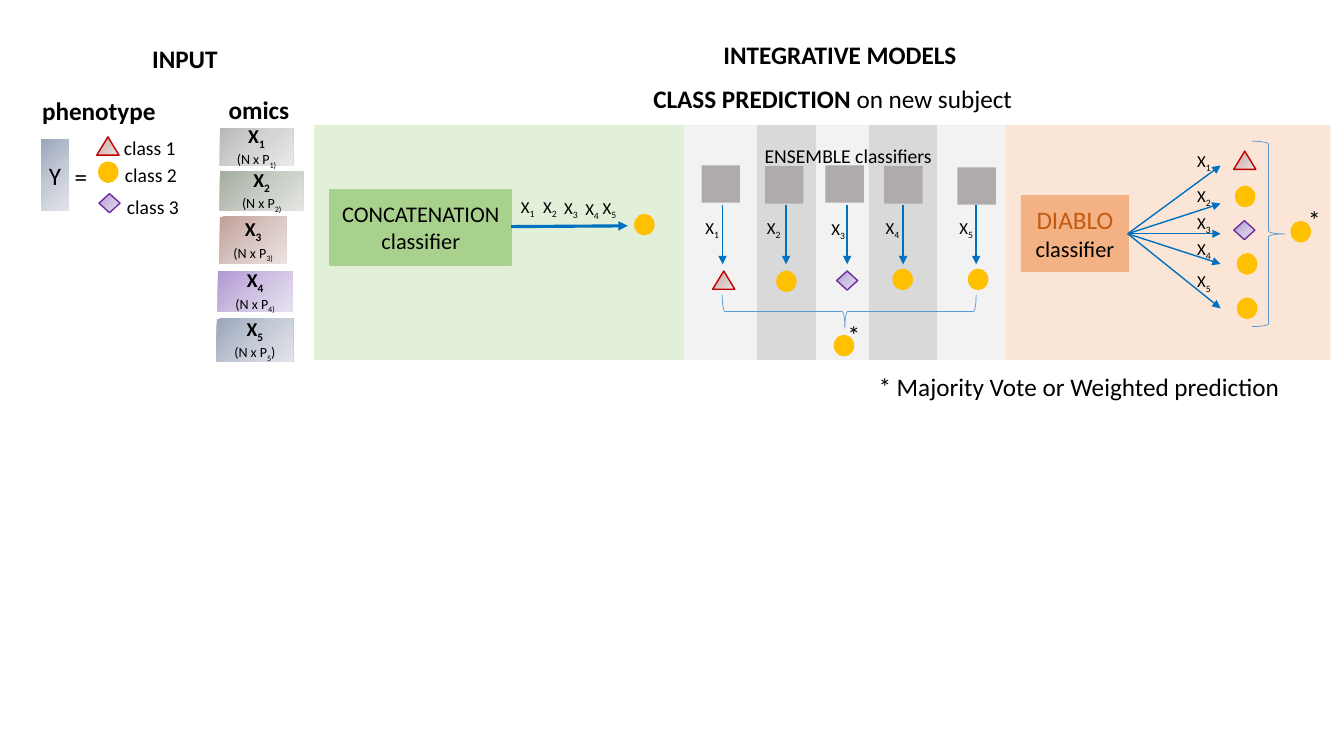
import copy

import pptx
import pptx.dml.color
import pptx.enum.shapes
import pptx.enum.text
import pptx.oxml
import pptx.oxml.ns
import pptx.util

Cm, Pt = pptx.util.Cm, pptx.util.Pt
Hex = pptx.dml.color.RGBColor.from_string
Preset = pptx.enum.shapes.MSO_SHAPE
Align = pptx.enum.text.PP_ALIGN
Anchor = pptx.enum.text.MSO_ANCHOR
qn = pptx.oxml.ns.qn

COLORS = {
    "text": "000000", "red": "C00000", "yellow": "FFC000", "purple": "7030A0",
    "arrow": "0070C0", "brace": "5B9BD5", "square": "AFABAB",
    "green panel": "E2F0D9", "light band": "F2F2F2", "dark band": "D9D9D9",
    "orange panel": "FBE5D6", "green box": "A9D18E", "orange box": "F4B183",
    "orange text": "C55A11",
}
GRADIENTS = {
    "grey": ("B8B8B8", "D3D3D3", "E9E9E9"),
    "green": ("A2AD9E", "C7CCC5", "E4E6E3"),
    "red": ("C29F98", "D8C5C1", "EBE3E1"),
    "purple": ("B197D2", "CEC1E2", "E7E1F0"),
    "blue": ("9AA6BC", "C3C9D5", "E2E4EA"),
}

presentation = pptx.Presentation()
presentation.slide_width, presentation.slide_height = Cm(33.87), Cm(19.05)
slide = presentation.slides.add_slide(presentation.slide_layouts[5])


def write(shape, lines, size=18, bold=False, color="text", align=Align.LEFT,
          anchor=Anchor.TOP, inset=0.25):
    """Fill a shape with lines, each a list of (text, format changes) runs."""
    frame = shape.text_frame
    frame.word_wrap = True
    frame.auto_size = pptx.enum.text.MSO_AUTO_SIZE.NONE
    frame.vertical_anchor = anchor
    frame.margin_left = frame.margin_right = Cm(inset)
    frame.margin_top = frame.margin_bottom = Cm(inset / 2)
    for index, runs in enumerate(lines):
        paragraph = frame.add_paragraph() if index else frame.paragraphs[0]
        paragraph.alignment = align
        for text, changes in runs:
            run = paragraph.add_run()
            run.text = text
            run.font.name = "Calibri"
            run.font.size = Pt(changes.get("size", size))
            run.font.bold = changes.get("bold", bold)
            run.font.color.rgb = Hex(COLORS[changes.get("color", color)])
            if changes.get("subscript"):
                run.font._element.set("baseline", "-25000")


def draw(preset, left, top, width, height, fill=None, line=None, weight=1):
    """Add a preset shape with a plain, gradient or empty fill."""
    shape = slide.shapes.add_shape(preset, Cm(left), Cm(top), Cm(width), Cm(height))
    shape.shadow.inherit = False
    if fill in GRADIENTS:
        shape.fill.gradient()
        shape.fill.gradient_angle = 315
        first_stop = shape._element.spPr.find(".//" + qn("a:gs"))
        middle_stop = copy.deepcopy(first_stop)
        middle_stop.set("pos", "50000")
        first_stop.addnext(middle_stop)
        for stop, color in zip(shape.fill.gradient_stops, GRADIENTS[fill]):
            stop.color.rgb = Hex(color)
    elif fill:
        shape.fill.solid()
        shape.fill.fore_color.rgb = Hex(COLORS[fill])
    else:
        shape.fill.background()
    if line:
        shape.line.color.rgb = Hex(COLORS[line])
        shape.line.width = Pt(weight)
    else:
        shape.line.fill.background()
    return shape


# Panels side by side
panel_edges = [7.92, 17.25, 19.08, 20.57, 21.9, 23.62, 25.35, 33.53]
panel_fills = ["green panel", "light band", "dark band", "light band",
               "dark band", "light band", "orange panel"]
for left, right, fill in zip(panel_edges, panel_edges[1:], panel_fills):
    draw(Preset.RECTANGLE, left, 3.15, right - left, 5.92, fill)

# Title
title = slide.shapes.title
title.left, title.top, title.width, title.height = Cm(17.98), Cm(0.86), Cm(7.29), Cm(1.02)
write(title, [[("INTEGRATIVE MODELS", {})]], bold=True)

# Classifier boxes
concatenation = draw(Preset.RECTANGLE, 8.33, 4.78, 4.55, 1.9, "green box", "green box", 1.5)
write(concatenation, [[("CONCATENATION", {})], [("classifier", {})]],
      size=16, align=Align.CENTER, anchor=Anchor.MIDDLE)
diablo = draw(Preset.RECTANGLE, 25.73, 4.93, 2.72, 1.9, "orange box", "orange box", 0.5)
write(diablo, [[("DIABLO", {"size": 18, "color": "orange text"})], [("classifier", {})]],
      size=16, align=Align.CENTER, anchor=Anchor.MIDDLE)

# Ensemble inputs
for left, top in [(17.68, 4.17), (19.28, 4.19), (20.8, 4.17), (22.28, 4.19), (24.13, 4.22)]:
    draw(Preset.RECTANGLE, left, top, 0.97, 0.94, "square")

# Braces gathering the votes
ensemble_brace = draw(Preset.RIGHT_BRACE, 20.98, 4.65, 0.84, 6.4, line="brace", weight=0.5)
ensemble_brace.rotation = 90
ensemble_brace.adjustments[1] = 0.517
draw(Preset.RIGHT_BRACE, 31.55, 3.56, 0.84, 4.67, line="brace", weight=0.5)

# Class marks, placed by their centres
class_marks = {
    1: (Preset.ISOSCELES_TRIANGLE, 0.56, 0.46, "red"),
    2: (Preset.OVAL, 0.48, 0.51, "yellow"),
    3: (Preset.DIAMOND, 0.53, 0.48, "purple"),
}
mark_centres = {
    1: [(2.72, 3.68), (18.24, 7.06), (31.37, 4.04)],
    2: [(2.73, 4.34), (16.24, 5.66), (19.82, 7.09), (22.75, 7.04), (24.65, 7.04),
        (21.27, 8.71), (31.38, 4.95), (31.43, 6.65), (31.43, 7.77), (32.78, 5.84)],
    3: [(2.76, 5.12), (21.35, 7.07), (31.36, 5.8)],
}
for number, centres in mark_centres.items():
    preset, width, height, color = class_marks[number]
    for x, y in centres:
        draw(preset, x - width / 2, y - height / 2, width, height, color, color)

# Arrows
arrows = [(12.88, 5.71, 15.82, 5.69, 2.25)]
arrows += [(x, 5.16, x, 6.66, 1) for x in (18.21, 19.81, 21.35, 22.76, 24.6)]
arrows += [(28.42, 5.89, 30.76, y, 1) for y in (4.17, 5.13, 5.89, 6.65, 7.77)]
for start_x, start_y, end_x, end_y, weight in arrows:
    arrow = slide.shapes.add_connector(pptx.enum.shapes.MSO_CONNECTOR.STRAIGHT,
                                       Cm(start_x), Cm(start_y), Cm(end_x), Cm(end_y))
    arrow.line.color.rgb = Hex(COLORS["arrow"])
    arrow.line.width = Pt(weight)
    head = pptx.oxml.parse_xml('<a:tailEnd %s type="triangle"/>' % pptx.oxml.ns.nsdecls("a"))
    arrow.line._get_or_add_ln().append(head)
    effects = pptx.oxml.parse_xml("<a:effectLst %s/>" % pptx.oxml.ns.nsdecls("a"))
    arrow._element.spPr.append(effects)

# Data set labels X1 to X5 beside the arrows
label_rows = [
    [(12.88, 4.83), (13.44, 4.83), (13.97, 4.85), (14.5, 4.88), (14.94, 4.85)],
    [(17.53, 5.36), (19.08, 5.36), (20.7, 5.38), (22.07, 5.36), (23.93, 5.36)],
    [(29.92, y) for y in (3.68, 4.55, 5.23, 5.89, 6.71)],
]
for row in label_rows:
    for number, (left, top) in enumerate(row, start=1):
        label = slide.shapes.add_textbox(Cm(left), Cm(top), Cm(1.14), Cm(0.76))
        write(label, [[("X", {}), (str(number), {"subscript": True})]], size=12)

# Phenotype and omics blocks
phenotype = draw(Preset.RECTANGLE, 1.04, 3.51, 0.69, 1.8, "blue")
write(phenotype, [[("Y", {})]], align=Align.CENTER, anchor=Anchor.MIDDLE, inset=0)
omics_blocks = [
    (5.54, 3.23, 1.85, 0.94, "grey"), (5.54, 4.32, 2.11, 0.99, "green"),
    (5.54, 5.46, 1.68, 1.19, "red"), (5.49, 6.83, 1.88, 1.02, "purple"),
    (5.46, 8.03, 1.93, 1.07, "blue"),
]
small = {"size": 10, "bold": False}
small_subscript = {**small, "subscript": True}
for number, block in enumerate(omics_blocks, start=1):
    dimensions = [("(N x P", small), (f"{number})", small_subscript)]
    if number == 5:
        dimensions[1:] = [("5", small_subscript), (")", small)]
    write(draw(Preset.RECTANGLE, *block),
          [[("X", {}), (str(number), {"subscript": True})], dimensions],
          size=14, bold=True, align=Align.CENTER, anchor=Anchor.MIDDLE, inset=0)

# Headings, legend and notes
texts = [
    ("INPUT", 2.92, 0.97, 3.48, {"bold": True, "align": Align.CENTER}),
    ("phenotype", 0.81, 2.29, 3.51, {"bold": True}),
    ("omics", 5.51, 2.26, 2.67, {"bold": True}),
    ("=", 1.63, 3.94, 0.84, {}),
    ("class 1", 2.87, 3.3, 2.13, {"size": 14}),
    ("class 2", 2.9, 3.99, 2.13, {"size": 14}),
    ("class 3", 2.95, 4.78, 2.13, {"size": 14}),
    ("ENSEMBLE classifiers", 19.02, 3.51, 4.9, {"size": 14}),
    ("*", 21.11, 7.92, 0.84, {}),
    ("*", 32.72, 5.03, 0.84, {}),
    ("* Majority Vote or Weighted prediction", 21.89, 9.22, 11.25, {}),
]
for text, left, top, width, style in texts:
    height = 0.86 if style.get("size") == 14 else 1.02
    box = slide.shapes.add_textbox(Cm(left), Cm(top), Cm(width), Cm(height))
    write(box, [[(text, {})]], **style)
prediction = slide.shapes.add_textbox(Cm(15.93), Cm(1.98), Cm(10.11), Cm(1.02))
write(prediction, [[("CLASS PREDICTION ", {"bold": True}), ("on new subject", {})]],
      align=Align.CENTER)

presentation.save("out.pptx")
